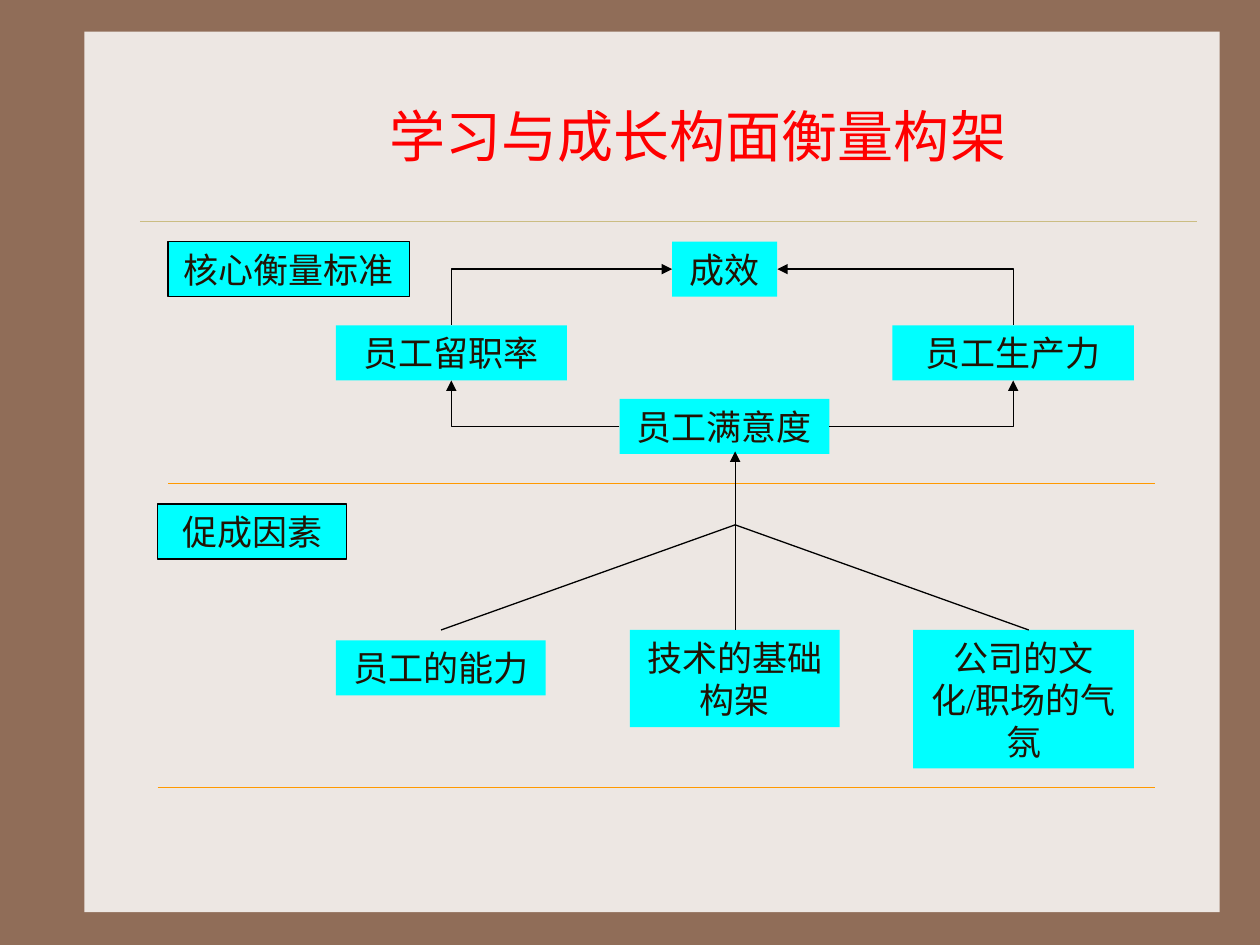
from dataclasses import dataclass

from lxml.etree import SubElement
from pptx import Presentation
from pptx.dml.color import RGBColor
from pptx.enum.shapes import MSO_CONNECTOR as Link, MSO_SHAPE as Preset
from pptx.enum.text import MSO_ANCHOR as Anchor, PP_ALIGN as Align
from pptx.oxml.ns import qn
from pptx.util import Cm, Pt


@dataclass(frozen=True)
class Theme:
    frame: str = "906D58"
    panel: str = "EDE7E3"
    rule: str = "CBBD83"
    divider: str = "FF9900"
    box: str = "00FFFF"
    line: str = "000000"
    text: str = "221304"
    title: str = "FF0000"
    font: str = "Times New Roman"
    title_size: float = 32
    text_size: float = 20
    line_width: float = 0.75
    rule_width: float = 0.25


theme = Theme()


def write(shape, text, size, color):
    frame = shape.text_frame
    frame.word_wrap = True
    frame.vertical_anchor = Anchor.MIDDLE
    frame.text = text
    para = frame.paragraphs[0]
    para.alignment = Align.CENTER
    para.space_before = Pt(0)
    span = para.runs[0]
    span.font.name = theme.font
    span.font.size = Pt(size)
    span.font.color.rgb = RGBColor.from_string(color)


def draw_line(start, end, color=theme.line, width=theme.line_width, arrow=None, bent=False):
    kind = Link.ELBOW if bent else Link.STRAIGHT
    line = page.shapes.add_connector(kind, *start, *end)
    line.line.color.rgb = RGBColor.from_string(color)
    line.line.width = Pt(width)
    properties = line._element.spPr
    if bent:
        properties.find(qn("a:prstGeom")).set("prst", "bentConnector2")
    if arrow:
        SubElement(properties.find(qn("a:ln")), qn(f"a:{arrow}"), type="triangle")
    SubElement(properties, qn("a:effectLst"))


deck = Presentation()
deck.slide_width, deck.slide_height = Cm(25.4), Cm(19.05)
page = deck.slides.add_slide(deck.slide_layouts[5])
page.background.fill.solid()
page.background.fill.fore_color.rgb = RGBColor.from_string(theme.frame)

panel = page.shapes.add_shape(Preset.RECTANGLE, Cm(1.7), Cm(0.64), Cm(22.89), Cm(17.75))
panel.shadow.inherit = False
panel.fill.solid()
panel.fill.fore_color.rgb = RGBColor.from_string(theme.panel)
panel.line.fill.background()
page.shapes._spTree.insert(2, panel._element)
draw_line((Cm(2.82), Cm(4.45)), (Cm(24.13), Cm(4.45)), theme.rule, theme.rule_width)

title = page.shapes.title
title.left, title.top, title.width, title.height = Cm(7.19), Cm(1.9), Cm(13.77), Cm(1.63)
write(title, "学习与成长构面衡量构架", theme.title_size, theme.title)

boxes = {}
for text, left, top, width, height, outlined in [
    ("核心衡量标准", 3.39, 4.87, 4.87, 1.11, True),
    ("成效", 13.55, 4.87, 2.12, 1.11, False),
    ("员工留职率", 6.77, 6.56, 4.66, 1.11, False),
    ("员工满意度", 12.49, 8.04, 4.23, 1.11, False),
    ("员工生产力", 17.99, 6.56, 4.87, 1.11, False),
    ("促成因素", 3.18, 10.16, 3.81, 1.11, True),
    ("员工的能力", 6.77, 12.91, 4.23, 1.11, False),
    ("技术的基础构架", 12.7, 12.7, 4.23, 1.96, False),
    ("公司的文化/职场的气氛", 18.41, 12.7, 4.45, 2.79, False),
]:
    box = page.shapes.add_shape(Preset.RECTANGLE, Cm(left), Cm(top), Cm(width), Cm(height))
    box.shadow.inherit = False
    box.fill.solid()
    box.fill.fore_color.rgb = RGBColor.from_string(theme.box)
    if outlined:
        box.line.color.rgb = RGBColor.from_string(theme.line)
        box.line.width = Pt(theme.line_width)
    else:
        box.line.fill.background()
    write(box, text, theme.text_size, theme.text)
    boxes[text] = box

for left, top in [(3.39, 9.74), (3.18, 15.88)]:
    draw_line((Cm(left), Cm(top)), (Cm(23.28), Cm(top)), theme.divider)

hub = Cm(14.82), Cm(10.58)
draw_line((hub[0], Cm(12.7)), (hub[0], Cm(9.1)), arrow="tailEnd")
for foot in (8.89, 20.74):
    draw_line(hub, (Cm(foot), Cm(12.7)))

result, satisfaction = boxes["成效"], boxes["员工满意度"]
for name, on_right in [("员工留职率", False), ("员工生产力", True)]:
    outcome = boxes[name]
    center = outcome.left + outcome.width // 2
    for source, edge, arrow in [
        (result, outcome.top, "headEnd"),
        (satisfaction, outcome.top + outcome.height, "tailEnd"),
    ]:
        side = source.left + source.width * on_right
        middle = source.top + source.height // 2
        draw_line((side, middle), (center, edge), arrow=arrow, bent=True)

deck.save("out.pptx")
